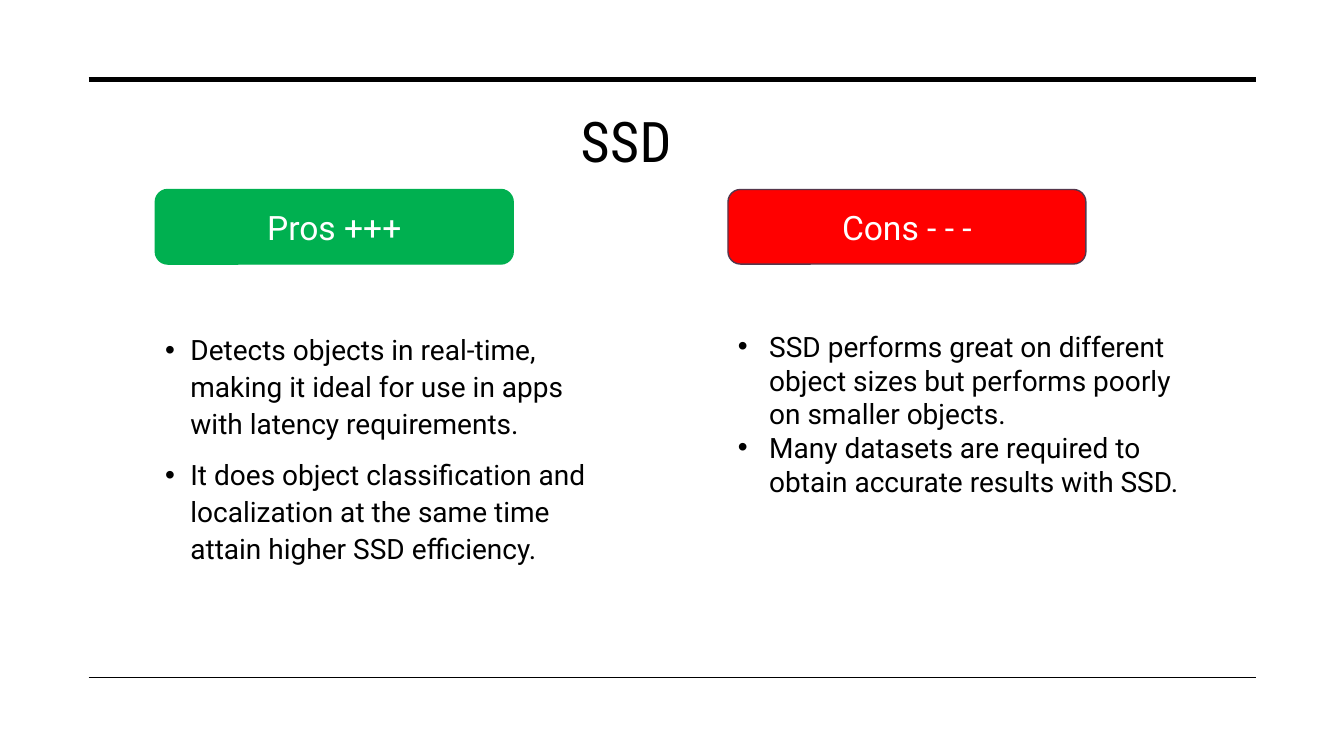
import pptx
import pptx.dml.color
import pptx.enum.shapes
import pptx.enum.text
import pptx.util
from lxml import etree
from pptx.oxml.ns import qn

Inches, Pt = pptx.util.Inches, pptx.util.Pt

TITLE = "SSD"
COLUMNS = [
    dict(heading="Pros +++", fill="00B050", outline="00B050", left=1.54,
         size=(4.44, 2.44), indent=0.25, line_spacing=1.1, gap=10,
         points=["Detects objects in real-time, making it ideal for use in apps "
                 "with latency requirements.",
                 "It does object classification and localization at the same time "
                 "attain higher SSD efficiency."]),
    dict(heading="Cons - - -", fill="FF0000", outline="55374C", left=7.22,
         size=(4.82, 1.78), indent=0.31, line_spacing=1.0, gap=0,
         points=["SSD performs great on different object sizes but performs "
                 "poorly on smaller objects.",
                 "Many datasets are required to obtain accurate results with SSD."]),
]
RULES = [(0.79, 3.5), (6.72, 1)]  # height on the slide, line width
RULE_LEFT, RULE_RIGHT = 0.88, 12.46
HEADING_TOP, HEADING_SIZE = 1.88, (3.55, 0.74)
POINTS_TOP = 3.22


def rgb(value):
    return pptx.dml.color.RGBColor.from_string(value)


def style(paragraph, size, color, font="Roboto"):
    paragraph.font.name = font
    paragraph.font.size = Pt(size)
    paragraph.font.bold = False
    paragraph.font.color.rgb = rgb(color)


def add_rule(slide, y, width):
    rule = slide.shapes.add_connector(
        pptx.enum.shapes.MSO_CONNECTOR.STRAIGHT,
        Inches(RULE_LEFT), Inches(y), Inches(RULE_RIGHT), Inches(y))
    rule.line.color.rgb = rgb("000000")
    rule.line.width = Pt(width)
    etree.SubElement(rule._element.spPr, qn("a:effectLst"))


def add_title(slide):
    title = slide.shapes.title
    title.left, title.top = Inches(5.66), Inches(1.01)
    title.width, title.height = Inches(3.72), Inches(1.43)
    title.text_frame.text = TITLE
    title.text_frame.vertical_anchor = pptx.enum.text.MSO_ANCHOR.TOP
    paragraph = title.text_frame.paragraphs[0]
    paragraph.alignment = pptx.enum.text.PP_ALIGN.LEFT
    style(paragraph, 40, "000000", "Roboto Condensed")
    paragraph.runs[0].font._element.set("spc", "30")


def add_heading(slide, column):
    heading = slide.shapes.add_shape(
        pptx.enum.shapes.MSO_SHAPE.ROUNDED_RECTANGLE, Inches(column["left"]),
        Inches(HEADING_TOP), *map(Inches, HEADING_SIZE))
    heading.shadow.inherit = False
    heading.fill.solid()
    heading.fill.fore_color.rgb = rgb(column["fill"])
    heading.line.color.rgb = rgb(column["outline"])
    heading.line.width = Pt(1)
    heading.text_frame.text = column["heading"]
    heading.text_frame.vertical_anchor = pptx.enum.text.MSO_ANCHOR.MIDDLE
    paragraph = heading.text_frame.paragraphs[0]
    paragraph.alignment = pptx.enum.text.PP_ALIGN.CENTER
    style(paragraph, 24, "FFFFFF")


def add_points(slide, column):
    frame = slide.shapes.add_textbox(
        Inches(column["left"]), Inches(POINTS_TOP),
        *map(Inches, column["size"])).text_frame
    frame.word_wrap = True
    for i, point in enumerate(column["points"]):
        paragraph = frame.add_paragraph() if i else frame.paragraphs[0]
        paragraph.text = point
        paragraph.line_spacing = column["line_spacing"]
        paragraph.space_before = Pt(column["gap"] if i else 0)
        properties = paragraph._p.get_or_add_pPr()
        properties.set("marL", str(Inches(column["indent"])))
        properties.set("indent", str(-Inches(column["indent"])))
        etree.SubElement(properties, qn("a:buFont"), typeface="Arial")
        etree.SubElement(properties, qn("a:buChar"), char="•")
        style(paragraph, 20, "000000")


def main():
    deck = pptx.Presentation()
    deck.slide_width, deck.slide_height = Inches(13.33), Inches(7.5)
    slide = deck.slides.add_slide(deck.slide_layouts[5])
    for y, width in RULES:
        add_rule(slide, y, width)
    add_title(slide)
    for column in COLUMNS:
        add_heading(slide, column)
        add_points(slide, column)
    deck.save("out.pptx")


if __name__ == "__main__":
    main()
